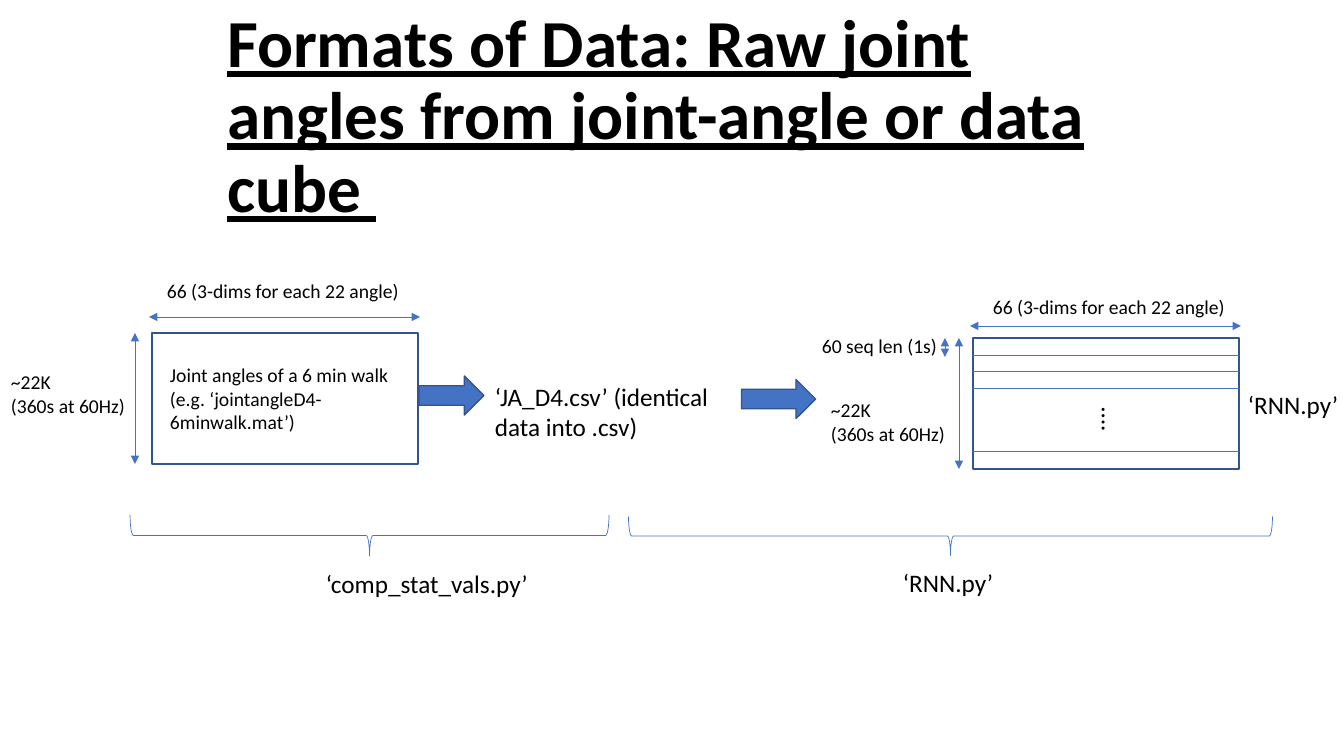
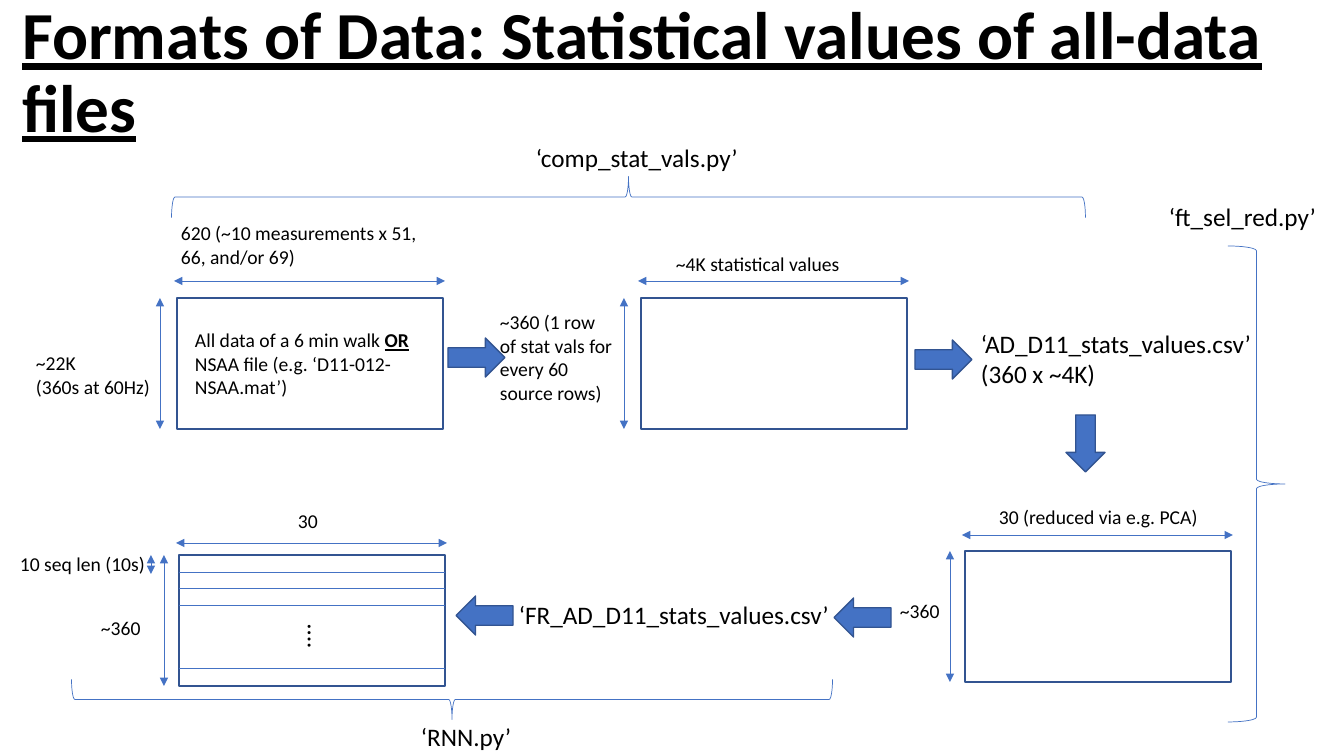
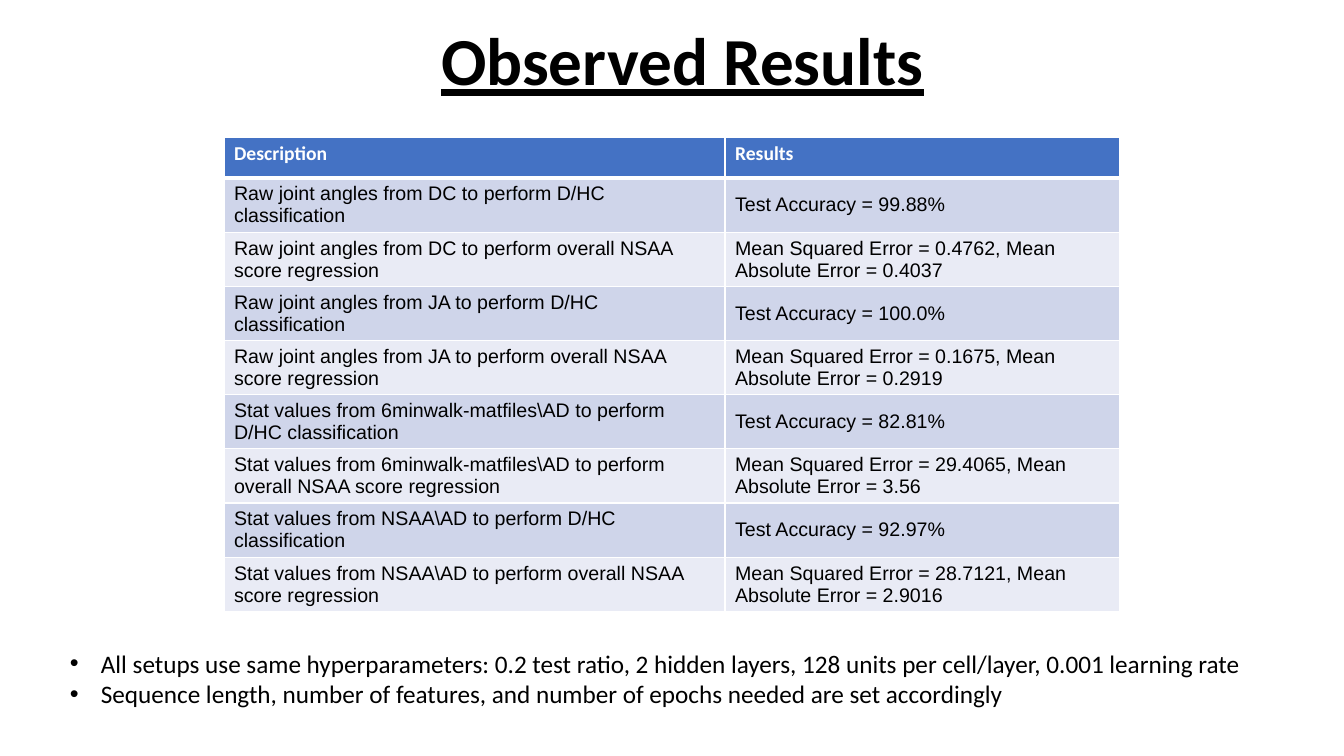
from dataclasses import dataclass
from typing import Any

from lxml.etree import SubElement
from pptx import Presentation
from pptx.dml.color import RGBColor
from pptx.enum.shapes import MSO_CONNECTOR as Connector, MSO_SHAPE as Preset
from pptx.enum.text import MSO_ANCHOR as Anchor, MSO_AUTO_SIZE as AutoSize, PP_ALIGN as Align
from pptx.oxml import parse_xml
from pptx.oxml.ns import nsdecls, qn
from pptx.util import Emu, Pt

EMU_PER_PIXEL = 914400 / 100.8
COLOURS = {
    "text": "000000",
    "white": "FFFFFF",
    "accent": "4472C4",
    "outline": "325491",
    "odd_row": "CFD5EA",
    "even_row": "E9EBF5",
}
TITLE_FONT = {"name": "Calibri", "size": Pt(48), "bold": True, "underline": True}
SMALL_FONT = {"name": "Calibri", "size": Pt(14)}
LARGE_FONT = {"name": "Calibri", "size": Pt(18)}
EMPHASIS_FONT = {"bold": True, "underline": True}
HEADER_FONT = {"name": "Calibri", "size": Pt(14), "bold": True}
BODY_FONT = {"name": "Arial", "size": Pt(14), "bold": False}
TITLE_FRAME = {"vertical_anchor": Anchor.MIDDLE, "word_wrap": True, "auto_size": AutoSize.NONE}
LABEL_FRAME = {"word_wrap": True, "auto_size": AutoSize.SHAPE_TO_FIT_TEXT}
TITLE_PARAGRAPH = {"alignment": Align.LEFT, "line_spacing": 0.9}
MATRIX_WIDTH, MATRIX_HEIGHT = 266, 131
STRIP_OFFSETS = (17, 33, 50, 113)
BULLET_INDENT = 31


@dataclass(frozen=True)
class Box:
    left: int
    top: int
    width: int
    height: int

    def emu(self) -> tuple[Emu, ...]:
        return tuple(map(px, (self.left, self.top, self.width, self.height)))


@dataclass(frozen=True)
class Label:
    text: str
    box: Box
    large: bool = False
    emphasis: str = ""
    rotation: int = 0
    bulleted: bool = False


@dataclass(frozen=True)
class Matrix:
    left: int
    top: int
    across_gap: int
    down_gap: int
    sliced: bool = False


@dataclass(frozen=True)
class Arrow:
    box: Box
    rotation: int = 270


@dataclass(frozen=True)
class Brace:
    box: Box
    rotation: int = 90


@dataclass(frozen=True)
class Diagram:
    title: str
    title_box: Box
    matrices: tuple[Matrix, ...]
    labels: tuple[Label, ...]
    arrows: tuple[Arrow, ...]
    braces: tuple[Brace, ...]


def px(pixels: int) -> Emu:
    return Emu(round(pixels * EMU_PER_PIXEL))


def colour(name: str) -> RGBColor:
    return RGBColor.from_string(COLOURS[name])


def set_format(target: Any, values: dict[str, Any]) -> None:
    for name, value in values.items():
        setattr(target, name, value)


def style_font(font: Any, values: dict[str, Any], colour_name: str = "text") -> None:
    set_format(font, values)
    font.color.rgb = colour(colour_name)


def add_titled_slide(presentation: Any, title: str, box: Box) -> Any:
    slide = presentation.slides.add_slide(presentation.slide_layouts[5])
    shape = slide.shapes.title
    set_format(shape, dict(zip(("left", "top", "width", "height"), box.emu())))
    set_format(shape.text_frame, TITLE_FRAME)
    paragraph = shape.text_frame.paragraphs[0]
    set_format(paragraph, TITLE_PARAGRAPH)
    run = paragraph.add_run()
    run.text = title
    style_font(run.font, TITLE_FONT)
    return slide


def add_bullet(paragraph: Any) -> None:
    properties = paragraph._p.get_or_add_pPr()
    properties.set("marL", str(px(BULLET_INDENT)))
    properties.set("indent", str(-px(BULLET_INDENT)))
    SubElement(properties, qn("a:buFont")).set("typeface", "Arial")
    SubElement(properties, qn("a:buChar")).set("char", "•")


def draw_label(slide: Any, label: Label) -> None:
    shape = slide.shapes.add_textbox(*label.box.emu())
    shape.rotation = label.rotation
    frame = shape.text_frame
    set_format(frame, LABEL_FRAME)
    for index, line in enumerate(label.text.split("\n")):
        paragraph = frame.add_paragraph() if index else frame.paragraphs[0]
        if label.bulleted:
            add_bullet(paragraph)
        parts = line.partition(label.emphasis) if label.emphasis else (line,)
        for part in parts:
            run = paragraph.add_run()
            run.text = part
            style_font(run.font, LARGE_FONT if label.large else SMALL_FONT)
            if part == label.emphasis:
                set_format(run.font, EMPHASIS_FONT)


def draw_shape(
    slide: Any, preset: Any, box: Box, fill: str, line: str, width: float, rotation: int = 0
) -> None:
    shape = slide.shapes.add_shape(preset, *box.emu())
    shape.shadow.inherit = False
    shape.rotation = rotation
    if fill:
        shape.fill.solid()
        shape.fill.fore_color.rgb = colour(fill)
    else:
        shape.fill.background()
    shape.line.color.rgb = colour(line)
    shape.line.width = Pt(width)


def draw_line(slide: Any, x1: int, y1: int, x2: int, y2: int, arrowheads: bool = False) -> None:
    connector = slide.shapes.add_connector(Connector.STRAIGHT, *map(px, (x1, y1, x2, y2)))
    connector.line.color.rgb = colour("accent")
    connector.line.width = Pt(0.5)
    if arrowheads:
        for end in ("a:headEnd", "a:tailEnd"):
            SubElement(connector.line._get_or_add_ln(), qn(end)).set("type", "triangle")
    SubElement(connector._element.spPr, qn("a:effectLst"))


def draw_matrix(slide: Any, matrix: Matrix) -> None:
    left, top = matrix.left, matrix.top
    right, bottom = left + MATRIX_WIDTH, top + MATRIX_HEIGHT
    across, down = top - matrix.across_gap, left - matrix.down_gap
    frame = Box(left, top, MATRIX_WIDTH, MATRIX_HEIGHT)
    draw_shape(slide, Preset.RECTANGLE, frame, "white", "outline", 1)
    draw_line(slide, left - 3, across, right + 2, across, arrowheads=True)
    draw_line(slide, down, top, down, bottom, arrowheads=True)
    if matrix.sliced:
        for offset in STRIP_OFFSETS:
            draw_line(slide, left, top + offset, right, top + offset)
        draw_line(slide, left - 28, top, left - 28, top + 19, arrowheads=True)
        draw_label(slide, Label("….", Box(left + 115, top + 64, 48, 40), large=True, rotation=90))


def draw_diagram(presentation: Any, diagram: Diagram) -> None:
    slide = add_titled_slide(presentation, diagram.title, diagram.title_box)
    for matrix in diagram.matrices:
        draw_matrix(slide, matrix)
    for label in diagram.labels:
        draw_label(slide, label)
    for arrow in diagram.arrows:
        draw_shape(slide, Preset.DOWN_ARROW, arrow.box, "accent", "outline", 1, arrow.rotation)
    for brace in diagram.braces:
        draw_shape(slide, Preset.RIGHT_BRACE, brace.box, "", "accent", 0.5, brace.rotation)


def set_borders(cell: Any, bottom_width: float) -> None:
    properties = cell._tc.get_or_add_tcPr()
    widths = {"lnL": 1, "lnR": 1, "lnT": 1, "lnB": bottom_width}
    for index, (side, width) in enumerate(widths.items()):
        border = parse_xml(
            f'<a:{side} {nsdecls("a")} w="{Pt(width)}"><a:solidFill>'
            f'<a:srgbClr val="{COLOURS["white"]}"/></a:solidFill></a:{side}>'
        )
        properties.insert(index, border)


def draw_table(
    slide: Any, rows: list[tuple[str, str]], box: Box, widths: tuple[int, ...], row_height: int
) -> None:
    shape = slide.shapes.add_table(len(rows), len(widths), *box.emu())
    table = shape.table
    for column, width in zip(table.columns, widths):
        column.width = px(width)
    for row_index, values in enumerate(rows):
        table.rows[row_index].height = px(row_height)
        header = row_index == 0
        fill = "accent" if header else "odd_row" if row_index % 2 else "even_row"
        for cell, value in zip(table.rows[row_index].cells, values):
            cell.text = value
            cell.vertical_anchor = Anchor.TOP if header else Anchor.MIDDLE
            cell.fill.solid()
            cell.fill.fore_color.rgb = colour(fill)
            set_borders(cell, 3 if header else 1)
            font = cell.text_frame.paragraphs[0].runs[0].font
            style_font(font, HEADER_FONT if header else BODY_FONT, "white" if header else "text")
    shape.height = px(box.height)


SOURCE_ROWS = "~22K\n(360s at 60Hz)"
ANGLE_COLUMNS = "66 (3-dims for each 22 angle)"
STATS_SCRIPT = "‘comp_stat_vals.py’"
NETWORK_SCRIPT = "‘RNN.py’"

DIAGRAMS = (
    Diagram(
        title="Formats of Data: Raw joint angles from joint-angle or data cube ",
        title_box=Box(217, 35, 932, 166),
        matrices=(Matrix(152, 333, 16, 17), Matrix(973, 338, 12, 14, sliced=True)),
        labels=(
            Label(
                "Joint angles of a 6 min walk (e.g. ‘jointangleD4-6minwalk.mat’)",
                Box(160, 358, 251, 82),
            ),
            Label(SOURCE_ROWS, Box(1, 365, 134, 57)),
            Label(ANGLE_COLUMNS, Box(157, 274, 256, 34)),
            Label(ANGLE_COLUMNS, Box(983, 290, 256, 34)),
            Label(SOURCE_ROWS, Box(821, 393, 134, 57)),
            Label("60 seq len (1s)", Box(812, 329, 139, 34)),
            Label("‘JA_D4.csv’ (identical data into .csv)", Box(485, 376, 257, 72), large=True),
            Label(STATS_SCRIPT, Box(316, 563, 234, 40), large=True),
            Label(NETWORK_SCRIPT, Box(1238, 384, 116, 40), large=True),
            Label(NETWORK_SCRIPT, Box(893, 562, 116, 40), large=True),
        ),
        arrows=(Arrow(Box(432, 363, 39, 65)), Arrow(Box(759, 362, 39, 74))),
        braces=(Brace(Box(931, 214, 39, 644)), Brace(Box(349, 296, 41, 479))),
    ),
    Diagram(
        title="Formats of Data: Statistical values of all-data files",
        title_box=Box(12, 9, 1320, 131),
        matrices=(
            Matrix(177, 298, 17, 17),
            Matrix(641, 298, 17, 17),
            Matrix(965, 551, 16, 15),
            Matrix(179, 555, 12, 15, sliced=True),
        ),
        labels=(
            Label(
                "All data of a 6 min walk OR NSAA file (e.g. ‘D11-012-NSAA.mat’)",
                Box(185, 323, 251, 82),
                emphasis="OR",
            ),
            Label(SOURCE_ROWS, Box(26, 346, 134, 57)),
            Label("620 (~10 measurements x 51, 66, and/or 69)", Box(171, 216, 277, 57)),
            Label("‘AD_D11_stats_values.csv’ (360 x ~4K)", Box(971, 323, 298, 72), large=True),
            Label("‘FR_AD_D11_stats_values.csv’", Box(509, 594, 339, 40), large=True),
            Label("30 (reduced via e.g. PCA)", Box(989, 500, 230, 34)),
            Label("~360", Box(890, 594, 75, 34)),
            Label("~4K statistical values", Box(666, 247, 188, 34)),
            Label(
                "~360 (1 row of stat vals for every 60 source rows)",
                Box(490, 305, 134, 105),
            ),
            Label("30", Box(288, 504, 44, 34)),
            Label("~360", Box(91, 611, 64, 34)),
            Label("10 seq len (10s)", Box(10, 547, 147, 34)),
            Label("‘ft_sel_red.py’", Box(1159, 196, 179, 40), large=True),
            Label(STATS_SCRIPT, Box(526, 137, 234, 40), large=True),
            Label(NETWORK_SCRIPT, Box(411, 716, 116, 40), large=True),
        ),
        arrows=(
            Arrow(Box(924, 331, 39, 57)),
            Arrow(Box(457, 329, 39, 57)),
            Arrow(Box(1066, 415, 39, 57), rotation=0),
            Arrow(Box(843, 589, 39, 57), rotation=90),
            Arrow(Box(465, 587, 39, 57), rotation=90),
        ),
        braces=(
            Brace(Box(608, -260, 41, 914), rotation=270),
            Brace(Box(1228, 246, 57, 476), rotation=0),
            Brace(Box(432, 319, 40, 761)),
        ),
    ),
)

RESULTS = [
    ("Description", "Results"),
    ("Raw joint angles from DC to perform D/HC classification", "Test Accuracy = 99.88%"),
    (
        "Raw joint angles from DC to perform overall NSAA score regression",
        "Mean Squared Error = 0.4762, Mean Absolute Error = 0.4037",
    ),
    ("Raw joint angles from JA to perform D/HC classification", "Test Accuracy = 100.0%"),
    (
        "Raw joint angles from JA to perform overall NSAA score regression",
        "Mean Squared Error = 0.1675, Mean Absolute Error = 0.2919",
    ),
    (
        "Stat values from 6minwalk-matfiles\\AD to perform D/HC classification",
        "Test Accuracy = 82.81%",
    ),
    (
        "Stat values from 6minwalk-matfiles\\AD to perform overall NSAA score regression",
        "Mean Squared Error = 29.4065, Mean Absolute Error = 3.56",
    ),
    ("Stat values from NSAA\\AD to perform D/HC classification", "Test Accuracy = 92.97%"),
    (
        "Stat values from NSAA\\AD to perform overall NSAA score regression",
        "Mean Squared Error = 28.7121, Mean Absolute Error = 2.9016",
    ),
]
SETUP_NOTES = Label(
    "All setups use same hyperparameters: 0.2 test ratio, 2 hidden layers, "
    "128 units per cell/layer, 0.001 learning rate\n"
    "Sequence length, number of features, and number of epochs needed are set accordingly",
    Box(60, 643, 1222, 72),
    large=True,
    bulleted=True,
)


def main() -> None:
    presentation = Presentation()
    set_format(presentation, {"slide_width": px(1344), "slide_height": px(756)})
    for diagram in DIAGRAMS:
        draw_diagram(presentation, diagram)
    slide = add_titled_slide(presentation, "Observed Results", Box(431, 14, 539, 100))
    draw_table(slide, RESULTS, Box(224, 137, 896, 482), (501, 395), 41)
    draw_label(slide, SETUP_NOTES)
    presentation.save("out.pptx")


main()
